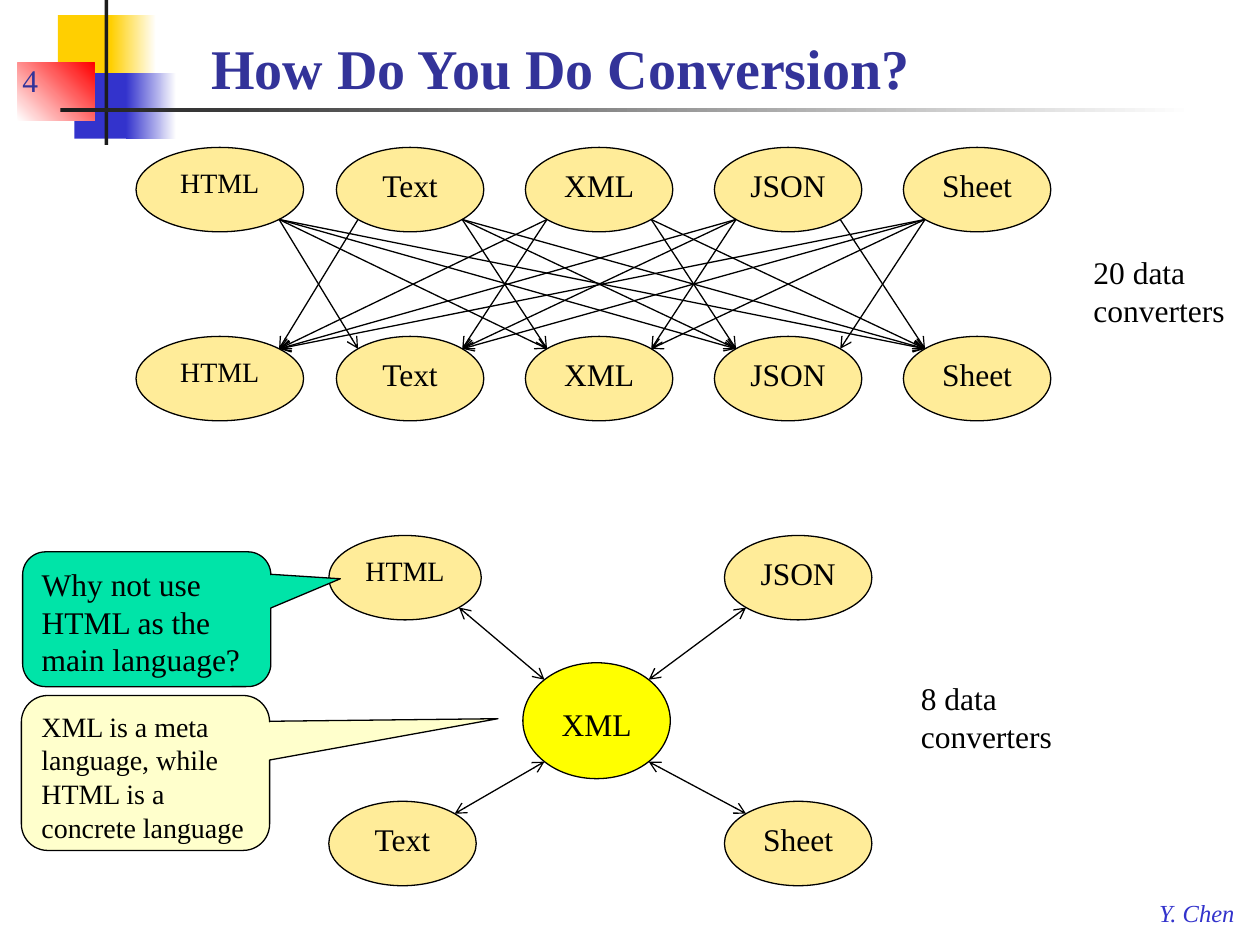
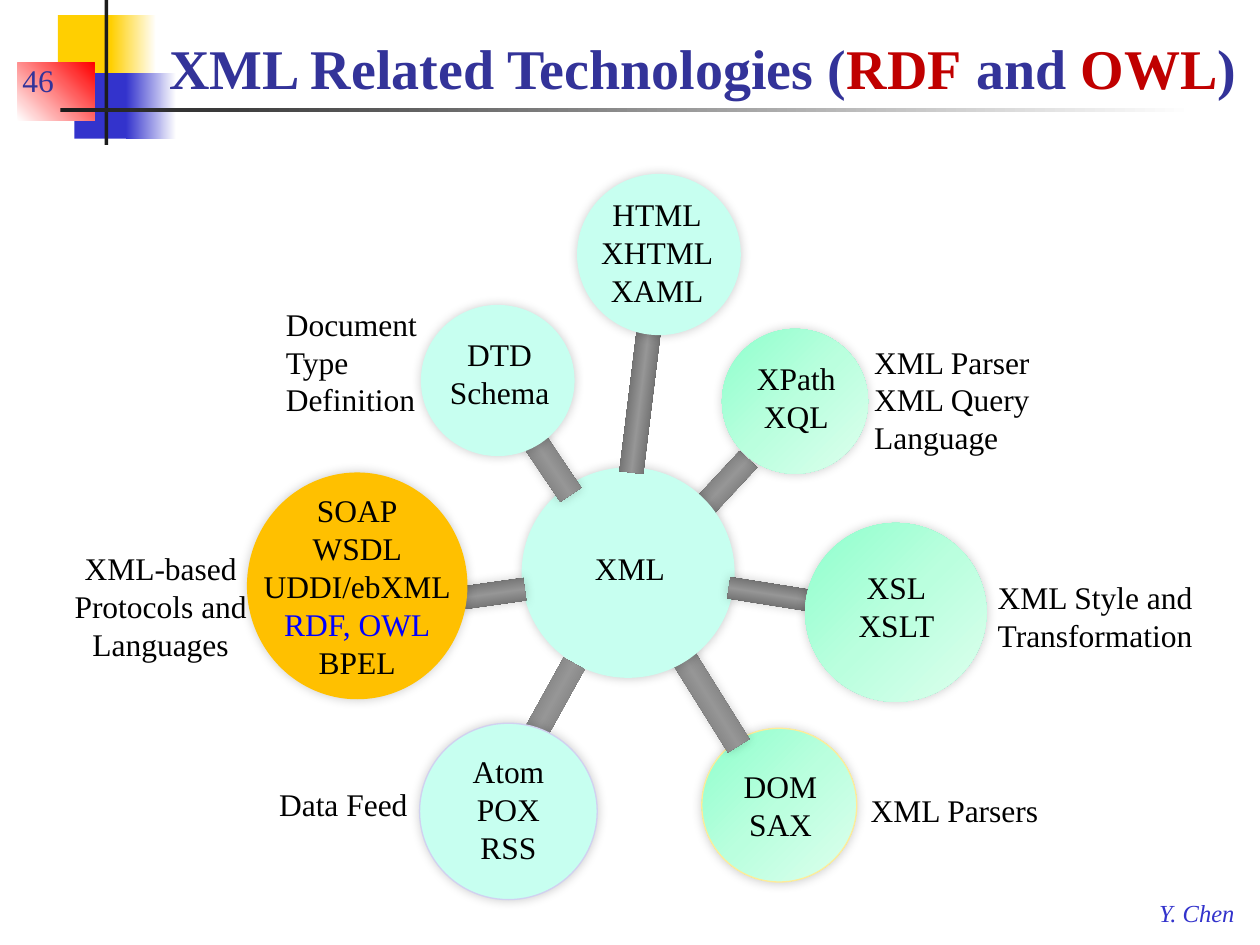
"""Build two slides on XML: data conversion and related technologies."""
from math import sqrt

from pptx import Presentation
from pptx.dml.color import RGBColor
from pptx.enum.shapes import MSO_CONNECTOR, MSO_SHAPE
from pptx.enum.text import MSO_ANCHOR, PP_ALIGN
from pptx.oxml import parse_xml
from pptx.oxml.ns import nsdecls, qn
from pptx.util import Emu, Pt

RECT, OVAL = MSO_SHAPE.RECTANGLE, MSO_SHAPE.OVAL
BUBBLE = MSO_SHAPE.ROUNDED_RECTANGULAR_CALLOUT
LINE = MSO_CONNECTOR.STRAIGHT
TOP, BOTTOM = MSO_ANCHOR.TOP, MSO_ANCHOR.BOTTOM
LEFT, MID, RIGHT = PP_ALIGN.LEFT, PP_ALIGN.CENTER, PP_ALIGN.RIGHT

SCALE = 9144
FONT = "Times New Roman"
BLACK, WHITE, INK = "000000", "FFFFFF", "1C1C1C"
NAVY, BLUE, RED, LINK = "333399", "3333CC", "C00000", "0000FF"
GOLD, CREAM, YELLOW = "FFCF01", "FFEC99", "FFFF00"
MINT, AMBER, LILAC = "C7FFF0", "FFC000", "D1D1F0"
GREEN = (45, "8EFFCD", "BAFFDE", "DDFFEE")
STEEL = (90, "454545", "969696", "454545")

DECOR = [
    ((46, 12, 48, 52), GOLD),
    ((88, 12, 36, 52), (0, GOLD, WHITE)),
    ((59, 58, 46, 52), BLUE),
    ((100, 58, 40, 52), (0, BLUE, WHITE)),
    ((14, 50, 61, 46), (315, WHITE, "FF0000")),
    ((83, 0, 3, 115), INK),
    ((48, 86, 900, 3), (0, INK, WHITE)),
]
FOOTER = "Y. Chen"

FORMATS = ["HTML", "Text", "XML", "JSON", "Sheet"]
ROWS = [117, 267]
HUB = (415, 526, 117, 92)
SPOKES = [
    ("HTML", (261, 425, 121, 67), -1, -1),
    ("Text", (261, 636, 117, 67), -1, 1),
    ("JSON", (575, 425, 117, 67), 1, -1),
    ("Sheet", (575, 636, 117, 67), 1, 1),
]
COUNTS = [
    ("20 data converters", (858, 196, 142, 71)),
    ("8 data converters", (721, 534, 142, 71)),
]
BUBBLES = [
    ("Why not use HTML as the main language?", (18, 438, 197, 107),
     "00E4A8", 18, (0.78, -0.3, 0.17)),
    ("XML is a meta language, while HTML is a concrete language",
     (17, 552, 197, 123), "FFFFCC", 16, (1.42, -0.35, 0.17)),
]

TITLE = [[("XML Related Technologies (", NAVY), ("RDF", RED),
          (" and ", NAVY), ("OWL", RED), (")", NAVY)]]
DISCS = {
    "DOM": ((557, 578, 123, 122), GREEN, CREAM),
    "XML": ((414, 371, 169, 167), MINT, None),
    "XPath": ((573, 261, 116, 115), GREEN, None),
    "DTD": ((334, 242, 122, 120), MINT, None),
    "XSL": ((639, 415, 144, 142), GREEN, None),
    "SOAP": ((196, 375, 175, 180), AMBER, None),
    "Atom": ((333, 574, 141, 140), MINT, LILAC),
    "HTML": ((458, 138, 130, 128), MINT, None),
}
RODS = {
    "XPath": ((541, 378, 63, 19), 313, True),
    "DOM": ((509, 539, 101, 20), 238, True),
    "DTD": ((386, 347, 86, 20), 236, True),
    "Atom": ((371, 567, 114, 19), 119, False),
    "XSL": ((578, 464, 77, 17), 9, True),
    "SOAP": ((311, 466, 106, 18), 352, True),
    "HTML": ((451, 309, 114, 19), 97, False),
}
STACK = [(DISCS, "DOM"), (RODS, "XPath"), (RODS, "DOM"), (DISCS, "XML"),
         (DISCS, "XPath")]
for name in ("DTD", "XSL", "SOAP", "Atom", "HTML"):
    STACK += [(RODS, name), (DISCS, name)]
LABELS = [
    (["XML"], (452, 431, 96, 40), MID),
    (["XPath", "XQL"], (580, 280, 104, 71), MID),
    (["DTD", "Schema"], (334, 261, 125, 71), MID),
    (["DOM", "SAX"], (551, 604, 137, 71), MID),
    (["XSL", "XSLT"], (645, 446, 133, 71), MID),
    (["SOAP", "WSDL", "UDDI/ebXML", [("RDF, OWL", LINK)], "BPEL"],
     (196, 385, 175, 162), MID),
    (["Atom", "POX", "RSS"], (361, 592, 85, 101), MID),
    (["HTML", "XHTML", "XAML"], (459, 150, 125, 101), MID),
    (["XML Style and", "Transformation"], (782, 454, 176, 71), LEFT),
    (["Document", "Type Definition"], (217, 237, 138, 101), LEFT),
    (["XML Parser", "XML Query", "Language"], (684, 267, 170, 101), LEFT),
    (["XML Parsers"], (660, 623, 195, 40), MID),
    (["XML-based", "Protocols and Languages"], (30, 431, 195, 101), MID),
    (["Data Feed"], (175, 618, 195, 40), MID),
]


def px(n):
    return Emu(round(n * SCALE))


def tint(code):
    return RGBColor.from_string(code)


def write(shape, paras, size=18, color=BLACK, align=LEFT, anchor=TOP,
          bold=False, italic=False, wrap=True, lead=None):
    frame = shape.text_frame
    frame.word_wrap = wrap
    frame.vertical_anchor = anchor
    for i, item in enumerate(paras):
        para = frame.add_paragraph() if i else frame.paragraphs[0]
        para.alignment = align
        if lead:
            para.line_spacing = lead
        font = para.font
        font.name, font.size = FONT, Pt(size)
        font.bold, font.italic = bold, italic
        font.color.rgb = tint(color)
        for text, hue in [(item, None)] if isinstance(item, str) else item:
            run = para.add_run()
            run.text = text
            if hue:
                run.font.color.rgb = tint(hue)


def label(slide, paras, box, **style):
    write(slide.shapes.add_textbox(*map(px, box)), paras, **style)


def paint(shape, fill):
    if isinstance(fill, str):
        shape.fill.solid()
        shape.fill.fore_color.rgb = tint(fill)
        return
    angle, *hues = fill
    shape.fill.gradient()
    shape.fill.gradient_angle = (360 - angle) % 360
    stops = shape.element.spPr.find(qn("a:gradFill")).find(qn("a:gsLst"))
    for stop in list(stops):
        stops.remove(stop)
    for i, hue in enumerate(hues):
        pos = 100000 * i // (len(hues) - 1)
        stops.append(parse_xml(
            f'<a:gs {nsdecls("a")} pos="{pos}"><a:srgbClr val="{hue}"/></a:gs>'))


def draw(slide, kind, box, fill, edge=None, glow=False):
    shape = slide.shapes.add_shape(kind, *map(px, box))
    paint(shape, fill)
    if edge:
        shape.line.color.rgb = tint(edge)
        shape.line.width = Pt(0.75)
    else:
        shape.line.fill.background()
    shape.shadow.inherit = False
    if glow:
        shape.element.spPr.find(qn("a:effectLst")).append(parse_xml(
            f'<a:outerShdw {nsdecls("a")} blurRad="76200" dist="0" '
            'dir="18900000" rotWithShape="0"><a:srgbClr val="000000">'
            '<a:alpha val="20000"/></a:srgbClr></a:outerShdw>'))
    return shape


def oval(slide, text, box, fill=CREAM, lead=None):
    shape = draw(slide, OVAL, box, fill, BLACK)
    write(shape, [text], 16 if text == "HTML" else 18, align=MID, lead=lead)


def rim(box, dx, dy):
    """Return the point on an oval's diagonal towards (dx, dy)."""
    x, y, w, h = box
    return x + w / 2 * (1 + dx / sqrt(2)), y + h / 2 * (1 + dy / sqrt(2))


def arrow(slide, start, end, ends=("tailEnd",)):
    link = slide.shapes.add_connector(LINE, *map(px, start + end))
    link.line.color.rgb = tint(BLACK)
    link.line.width = Pt(0.75)
    props = link.element.spPr
    for tip in ends:
        props.find(qn("a:ln")).append(
            parse_xml(f'<a:{tip} {nsdecls("a")} type="arrow"/>'))
    props.append(parse_xml(f'<a:effectLst {nsdecls("a")}/>'))


def start(deck, number, title, box, align=LEFT):
    slide = deck.slides.add_slide(deck.slide_layouts[6])
    for area, fill in DECOR:
        draw(slide, RECT, area, fill)
    label(slide, [FOOTER], (910, 708, 82, 33), size=14, color=BLUE,
          italic=True, wrap=False)
    label(slide, title, box, size=32, color=NAVY, align=align,
          anchor=BOTTOM, bold=True)
    label(slide, [number], (8, 33, 75, 50), color=NAVY, anchor=BOTTOM)
    return slide


def convert(deck):
    slide = start(deck, "4", ["How Do You Do Conversion?"],
                  (158, 17, 833, 68))
    upper, lower = [
        [(108, y, 133, 67)] + [(267 + 150 * i, y, 117, 67) for i in range(4)]
        for y in ROWS]
    for row in (upper, lower):
        for text, box in zip(FORMATS, row):
            oval(slide, text, box)
    for i, top in enumerate(upper):
        for j, low in enumerate(lower):
            if i != j:
                side = 1 if j > i else -1
                arrow(slide, rim(top, side, 1), rim(low, -side, -1))
    oval(slide, "XML", HUB, YELLOW, 1.5)
    for text, box, dx, dy in SPOKES:
        oval(slide, text, box)
        arrow(slide, rim(HUB, dx, dy), rim(box, -dx, -dy),
              ("headEnd", "tailEnd"))
    for text, box in COUNTS:
        label(slide, [text], box)
    for text, box, fill, size, tail in BUBBLES:
        shape = draw(slide, BUBBLE, box, fill, BLACK)
        for i, value in enumerate(tail):
            shape.adjustments[i] = value
        write(shape, [text], size)


def relate(deck):
    slide = start(deck, "46", TITLE, (108, 17, 883, 68), RIGHT)
    for group, name in STACK:
        if group is DISCS:
            box, fill, edge = DISCS[name]
            draw(slide, OVAL, box, fill, edge, True)
        else:
            box, turn, glow = RODS[name]
            draw(slide, RECT, box, STEEL, glow=glow).rotation = turn
    for paras, box, align in LABELS:
        label(slide, paras, box, align=align)


def main():
    deck = Presentation()
    deck.slide_width, deck.slide_height = px(1000), px(750)
    convert(deck)
    relate(deck)
    deck.save("out.pptx")


if __name__ == "__main__":
    main()
